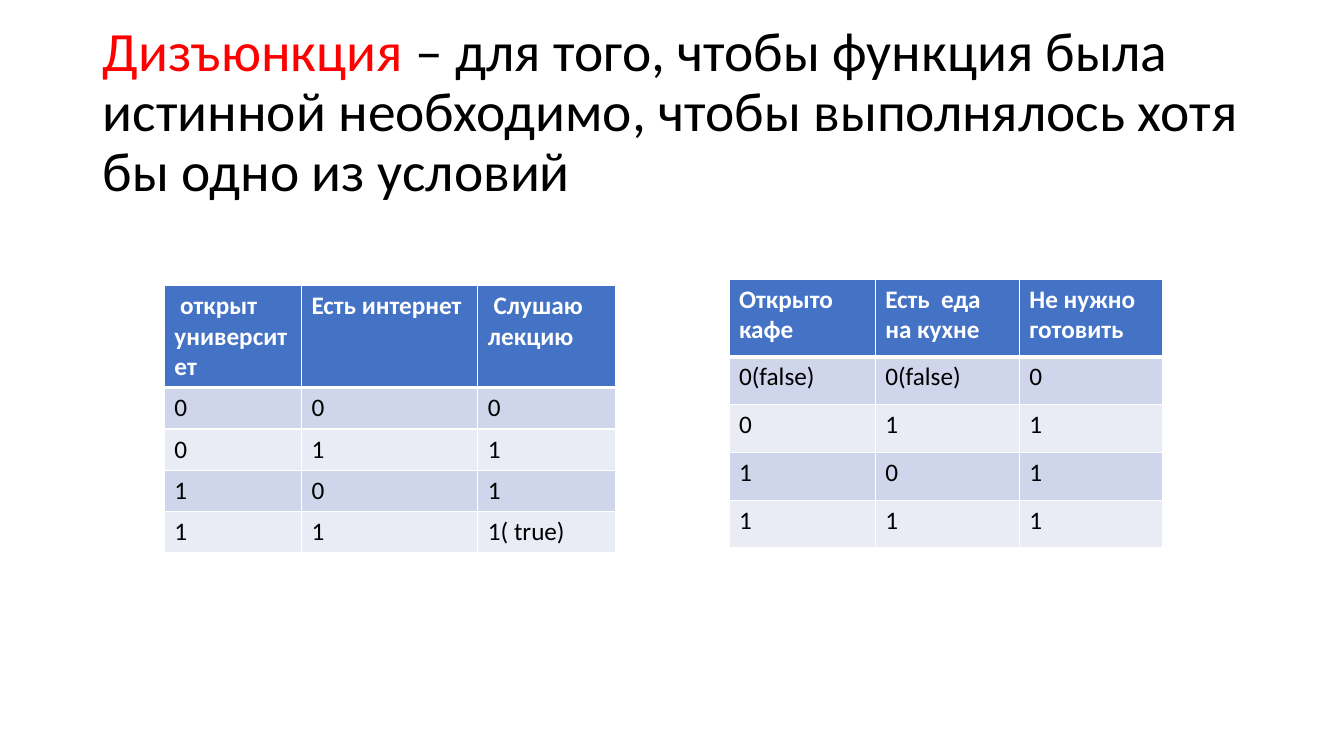
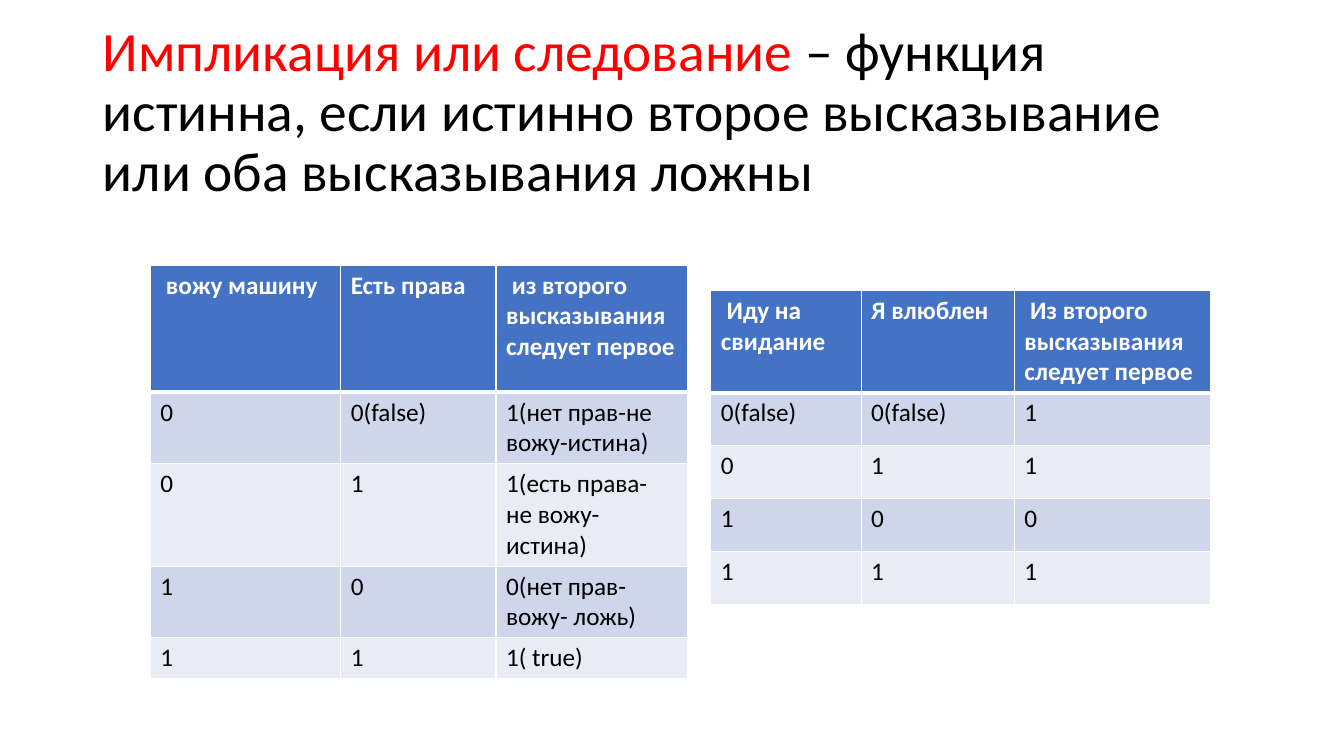
from dataclasses import dataclass
from lxml.etree import SubElement
from pptx import Presentation
from pptx.dml.color import RGBColor as Rgb
from pptx.enum.text import MSO_ANCHOR as Anchor, MSO_AUTO_SIZE as Fit, PP_ALIGN as Align
from pptx.oxml.ns import qn
from pptx.util import Inches, Pt


@dataclass(frozen=True)
class Theme:
    """Hold the colours, type sizes and rules that the slides share."""
    font: str = "Calibri"
    title_size: float = 39.6
    cell_size: float = 18
    accent: str = "FF0000"
    ink: str = "000000"
    paper: str = "FFFFFF"
    header: str = "4472C4"
    bands: tuple = ("CFD5EA", "E9EBF5")
    thin: float = 1
    thick: float = 3


@dataclass(frozen=True)
class Box:
    """Hold a region in percent of the slide's width and height."""
    left: float
    top: float
    width: float
    height: float


@dataclass(frozen=True)
class TruthTable:
    """Hold a table's corner, column widths and row heights in percent, and its text."""
    left: float
    top: float
    columns: tuple
    heights: tuple
    rows: tuple

    @property
    def box(self):
        """Return the region that the columns and rows fill."""
        return Box(self.left, self.top, sum(self.columns), sum(self.heights))


THEME = Theme()
TITLE_BOX = Box(6.9, 5.33, 86.25, 19.33)
WIDTH, HEIGHT = Inches(13.33), Inches(7.5)


def across(share):
    """Turn a percentage of the slide's width into a length."""
    return round(WIDTH * share / 100)


def down(share):
    """Turn a percentage of the slide's height into a length."""
    return round(HEIGHT * share / 100)


def frame(box):
    """Return left, top, width and height of a box as lengths."""
    return across(box.left), down(box.top), across(box.width), down(box.height)


def add_span(para, text, size, color, bold=False):
    """Add one formatted run to a paragraph."""
    span = para.add_run()
    span.text = text
    span.font.name = THEME.font
    span.font.size = Pt(size)
    span.font.bold = bold
    span.font.color.rgb = Rgb.from_string(color)


def add_title(page, box, term, meaning):
    """Place the title with its term in the accent colour."""
    title = page.shapes.title
    title.left, title.top, title.width, title.height = frame(box)
    text = title.text_frame
    text.word_wrap = True
    text.auto_size = Fit.NONE
    text.vertical_anchor = Anchor.MIDDLE
    para = text.paragraphs[0]
    para.alignment = Align.LEFT
    para.line_spacing = 0.9
    add_span(para, term, THEME.title_size, THEME.accent)
    add_span(para, meaning, THEME.title_size, THEME.ink)


def add_border(cell, side, weight):
    """Draw one edge of a cell."""
    edge = SubElement(cell._tc.get_or_add_tcPr(), qn(f"a:ln{side}"), w=str(Pt(weight)))
    fill = SubElement(edge, qn("a:solidFill"))
    SubElement(fill, qn("a:srgbClr"), val=THEME.paper)


def format_cell(cell, row, text):
    """Write a cell and style it as header or band by its row."""
    is_header = row == 0
    thick_side = {0: "B", 1: "T"}.get(row)
    for side in "LRTB":
        add_border(cell, side, THEME.thick if side == thick_side else THEME.thin)
    fill = THEME.header if is_header else THEME.bands[(row - 1) % 2]
    cell.fill.solid()
    cell.fill.fore_color.rgb = Rgb.from_string(fill)
    color = THEME.paper if is_header else THEME.ink
    add_span(cell.text_frame.paragraphs[0], text, THEME.cell_size, color, is_header)


def add_truth_table(page, box, truth):
    """Place a truth table in its box."""
    table = page.shapes.add_table(len(truth.rows), len(truth.columns), *frame(box)).table
    for column, share in zip(table.columns, truth.columns):
        column.width = across(share)
    for row, share in zip(table.rows, truth.heights):
        row.height = down(share)
    for i, texts in enumerate(truth.rows):
        for j, text in enumerate(texts):
            format_cell(table.cell(i, j), i, text)


def add_function_page(deck, term, meaning, tables):
    """Add a slide that defines a logical function with its truth tables."""
    page = deck.slides.add_slide(deck.slide_layouts[5])
    add_title(page, TITLE_BOX, term, meaning)
    for truth in tables:
        add_truth_table(page, truth.box, truth)


CAFE = TruthTable(
    54.24, 36.93, (10.88, 10.73, 10.65), (10.27,) + (6.33,) * 4,
    (("Открыто кафе", "Есть  еда на кухне", "Не нужно готовить"),
     ("0(false)", "0(false)", "0"),
     ("0", "1", "1"),
     ("1", "0", "1"),
     ("1", "1", "1")))
LECTURE = TruthTable(
    12.23, 37.73, (10.2, 13.13, 10.28), (9.47,) + (5.47,) * 4,
    ((" открыт университет", "Есть интернет ", " Слушаю лекцию"),
     ("0", "0", "0"),
     ("0", "1", "1"),
     ("1", "0", "1"),
     ("1", "1", "1( true)")))
DATE = TruthTable(
    52.89, 38.4, (11.18, 11.4, 14.63), (11.33,) + (7,) * 4,
    ((" Иду на свидание", "Я влюблен", " Из второго высказывания следует первое"),
     ("0(false)", "0(false)", "1"),
     ("0", "1", "1"),
     ("1", "0", "0"),
     ("1", "1", "1")))
DRIVING = TruthTable(
    11.18, 35.07, (14.18, 11.55, 14.25), (16.8, 9.07, 12.93, 9.07, 5.2),
    ((" вожу машину ", "Есть права", " из второго высказывания следует первое"),
     ("0", "0(false)", "1(нет прав-не вожу-истина)"),
     ("0", "1", "1(есть права- не вожу- истина)"),
     ("1", "0", "0(нет прав- вожу- ложь)"),
     ("1", "1", "1( true)")))


def main():
    """Build and save the deck."""
    deck = Presentation()
    deck.slide_width, deck.slide_height = WIDTH, HEIGHT
    add_function_page(
        deck, "Дизъюнкция",
        " – для того, чтобы функция была истинной необходимо, "
        "чтобы выполнялось хотя бы одно из условий",
        (CAFE, LECTURE))
    add_function_page(
        deck, "Импликация или следование",
        " – функция истинна, если истинно второе высказывание "
        "или оба высказывания ложны",
        (DATE, DRIVING))
    deck.save("out.pptx")


main()
